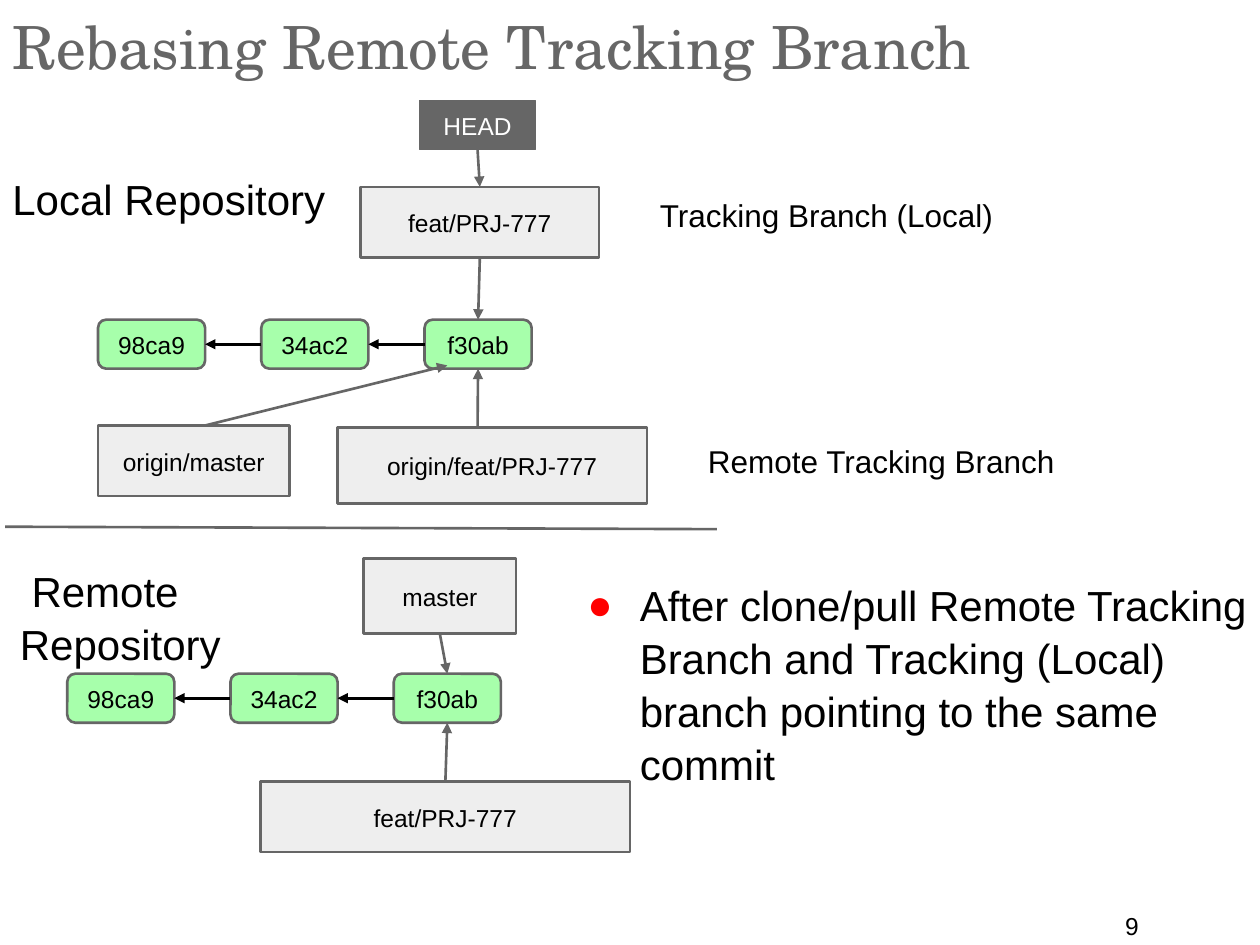
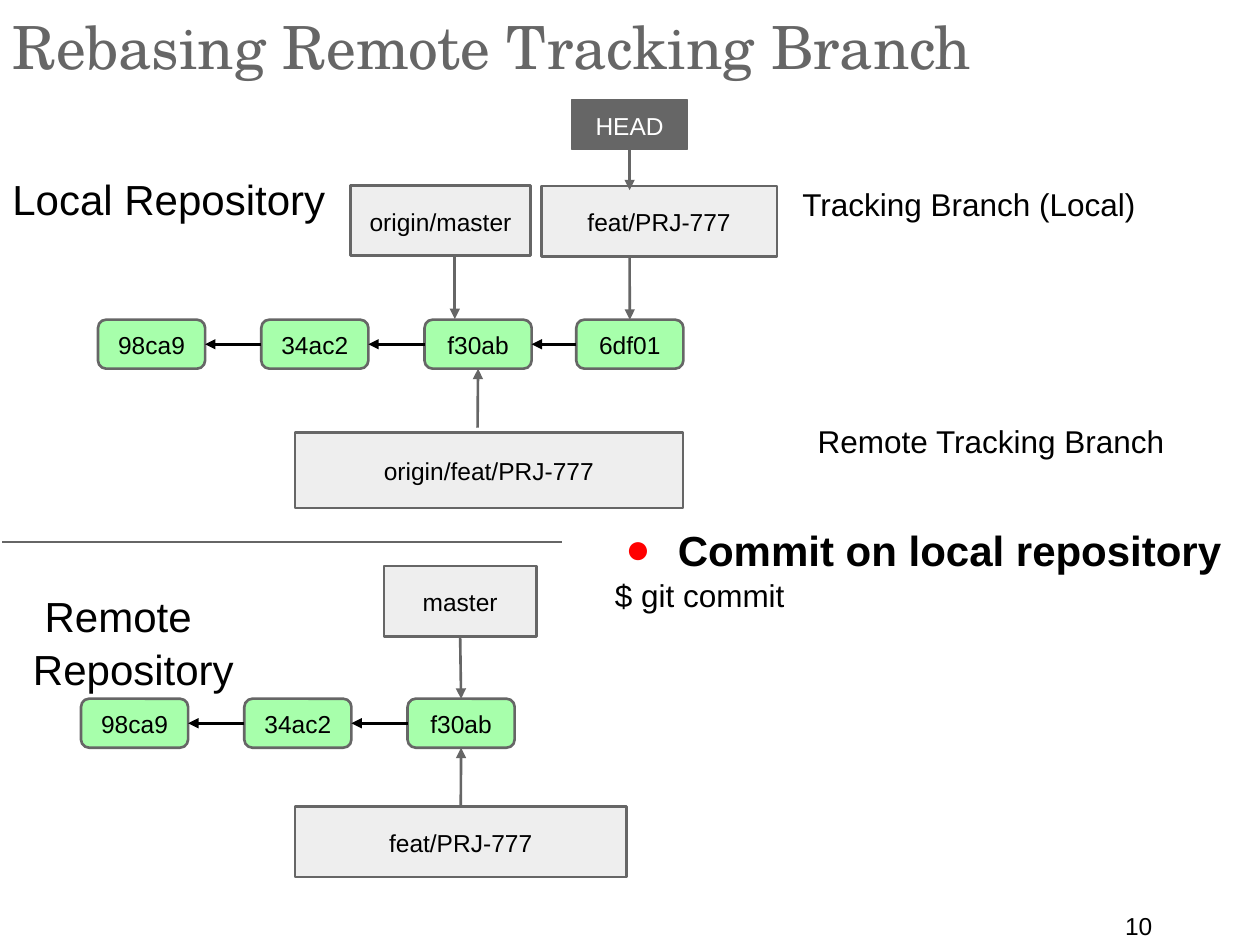
import pptx
import pptx.util
import pptx.dml.color
import pptx.enum.shapes
import pptx.enum.text
import pptx.oxml.ns
from lxml import etree

Pt = pptx.util.Pt
Shapes = pptx.enum.shapes.MSO_SHAPE
RGBColor = pptx.dml.color.RGBColor

BLACK = RGBColor(0x00, 0x00, 0x00)
WHITE = RGBColor(0xFF, 0xFF, 0xFF)
GRAY = RGBColor(0x66, 0x66, 0x66)
PALE_GRAY = RGBColor(0xEE, 0xEE, 0xEE)
GREEN = RGBColor(0xA7, 0xFF, 0xAB)
RED = RGBColor(0xFF, 0x00, 0x00)

BODY_FONT = "Arial"
TITLE_FONT = "TeX Gyre Schola"
TITLE = "Rebasing Remote Tracking Branch"

COMMIT_WIDTH, COMMIT_HEIGHT, COMMIT_STEP = 61.2, 28, 93.3
LOCAL_LEFT, LOCAL_TOP = 56, 182.7
HISTORY = ["98ca9", "34ac2", "f30ab"]
TOP, LEFT, BOTTOM, RIGHT = range(4)


def add_element(parent, tag, **attributes):
    return etree.SubElement(parent, pptx.oxml.ns.qn(tag), attributes)


def format_paragraph(para, size, color=BLACK, font=BODY_FONT, bold=False):
    para.line_spacing = 1.05
    for span in para.runs:
        span.font.name = font
        span.font.size = Pt(size)
        span.font.bold = bold
        span.font.color.rgb = color


def set_insets(frame, vertical):
    frame.word_wrap = True
    frame.margin_left = frame.margin_right = Pt(7.2)
    frame.margin_top = frame.margin_bottom = Pt(vertical)


def add_text(page, text, place, size, color=BLACK, font=BODY_FONT, inset=7.2):
    box = page.shapes.add_textbox(*map(Pt, place))
    frame = box.text_frame
    set_insets(frame, inset)
    frame.text = text
    for para in frame.paragraphs:
        format_paragraph(para, size, color, font)
    return frame


def add_box(page, text, place, kind=Shapes.RECTANGLE, fill=PALE_GRAY,
            color=BLACK, line_width=1.5):
    box = page.shapes.add_shape(kind, *map(Pt, place))
    box.shadow.inherit = False
    box.fill.solid()
    box.fill.fore_color.rgb = fill
    box.line.color.rgb = GRAY
    box.line.width = Pt(line_width)
    frame = box.text_frame
    set_insets(frame, 7.2)
    frame.vertical_anchor = pptx.enum.text.MSO_ANCHOR.MIDDLE
    frame.text = text
    para = frame.paragraphs[0]
    para.alignment = pptx.enum.text.PP_ALIGN.CENTER
    format_paragraph(para, 14, color)
    return box


def add_head(page, left, top):
    return add_box(page, "HEAD", (left, top, 66.2, 28), fill=GRAY,
                   color=WHITE, line_width=0.75)


def add_line(page, start, end, color=GRAY, arrow=True):
    """Draw a line; each end is an (x, y) point or a (shape, side) pair."""
    def is_point(place):
        return isinstance(place[0], (int, float))

    points = [place if is_point(place) else (0, 0) for place in (start, end)]
    line = page.shapes.add_connector(
        pptx.enum.shapes.MSO_CONNECTOR.STRAIGHT,
        *(Pt(value) for point in points for value in point))
    if not is_point(start):
        line.begin_connect(*start)
    if not is_point(end):
        line.end_connect(*end)
    line.line.color.rgb = color
    line.line.width = Pt(1.5)
    if arrow:
        add_element(line.line._get_or_add_ln(), "a:tailEnd", type="triangle")
    add_element(line._element.spPr, "a:effectLst")


def add_commits(page, left, top, names):
    """Draw a row of commits, each pointing to its parent on the left."""
    commits = []
    for index, name in enumerate(names):
        place = (left + index * COMMIT_STEP, top, COMMIT_WIDTH, COMMIT_HEIGHT)
        commits.append(add_box(page, name, place,
                               Shapes.ROUNDED_RECTANGLE, GREEN))
    for parent, child in zip(commits, commits[1:]):
        add_line(page, (child, LEFT), (parent, RIGHT), BLACK)
    return commits


def add_bullet(para):
    properties = para._p.get_or_add_pPr()
    properties.set("marL", str(Pt(36)))
    properties.set("indent", str(Pt(-30)))
    color = add_element(properties, "a:buClr")
    add_element(color, "a:srgbClr", val=str(RED))
    add_element(properties, "a:buFont", typeface=BODY_FONT)
    add_element(properties, "a:buChar", char="●")


def add_remote(page, label, commits_at, master, feature):
    """Draw the remote repository with its two branches."""
    frame = add_text(page, "Remote Repository", label, 24)
    frame.paragraphs[0]._p.get_or_add_pPr().set("indent", str(Pt(6.67)))
    last = add_commits(page, *commits_at, HISTORY)[-1]
    master_box = add_box(page, "master", master)
    feature_box = add_box(page, "feat/PRJ-777", feature)
    add_line(page, (master_box, BOTTOM), (last, TOP))
    add_line(page, (feature_box, TOP), (last, BOTTOM))


def add_page(deck, number):
    page = deck.slides.add_slide(deck.slide_layouts[6])
    add_text(page, str(number), (635.8, 516.2, 66.2, 18), 14, inset=3.6)
    add_text(page, TITLE, (0, 0, 720, 43.2), 34, GRAY, TITLE_FONT, 3.6)
    add_text(page, "Local Repository", (0, 90.7, 210.2, 43.2), 24)
    return page


def add_branch_labels(page, tracking, remote_tracking):
    for text, (left, top) in (("Tracking Branch (Local)", tracking),
                              ("Remote Tracking Branch", remote_tracking)):
        add_text(page, text, (left, top, 239, 55.4), 18)


def build_after_clone(deck):
    page = add_page(deck, 9)
    last = add_commits(page, LOCAL_LEFT, LOCAL_TOP, HISTORY)[-1]
    head = add_head(page, 239.8, 57.6)
    feature = add_box(page, "feat/PRJ-777", (206, 106.8, 136.4, 40.3))
    add_box(page, "origin/feat/PRJ-777", (192.8, 244.4, 177, 43.2))
    add_box(page, "origin/master", (56, 243.2, 109.6, 40.3))
    add_line(page, (head, BOTTOM), (feature, TOP))
    add_line(page, (feature, BOTTOM), (last, TOP))
    add_line(page, (272.9, 244.4), (last, BOTTOM))
    add_line(page, (117, 243.2), (255.6, 208.8))
    add_branch_labels(page, (370, 103.7), (397.4, 244.1))

    add_line(page, (2.9, 301), (409.7, 302.4), arrow=False)
    add_remote(page, (4.3, 314.6, 199.4, 43.2), (38.4, 385),
               (207.8, 319, 87.1, 43.2), (149, 446.6, 211, 40.3))
    notes = add_text(page, "After clone/pull Remote Tracking Branch and "
                     "Tracking (Local) branch pointing to the same commit",
                     (322.5, 322.5, 397.5, 132.5), 24)
    add_bullet(notes.paragraphs[0])


def build_local_commit(deck):
    page = add_page(deck, 10)
    commits = add_commits(page, LOCAL_LEFT, LOCAL_TOP, HISTORY)
    newest = add_box(page, "6df01",
                     (329.3, LOCAL_TOP, COMMIT_WIDTH, COMMIT_HEIGHT),
                     Shapes.ROUNDED_RECTANGLE, GREEN)
    add_line(page, (newest, LEFT), (commits[-1], RIGHT), BLACK)
    head = add_head(page, 326.7, 57.2)
    add_box(page, "feat/PRJ-777", (309.4, 106.4, 134.6, 40.3))
    add_box(page, "origin/master", (200.3, 105.9, 103, 40.3))
    add_box(page, "origin/feat/PRJ-777", (168.5, 247.1, 221.8, 43.2))
    add_line(page, (head, BOTTOM), (359.8, 108.7))
    add_line(page, (359.8, 146.7), (newest, TOP))
    add_line(page, (259.9, 146.5), (259.9, 182.3))
    add_line(page, (272.9, 244.4), (commits[-1], BOTTOM))
    add_branch_labels(page, (451.4, 97.2), (460.1, 232.6))

    add_line(page, (1.4, 309.8), (321.1, 309.8), arrow=False)
    add_remote(page, (11.8, 329, 204.5, 43.2), (46.3, 399.3),
               (219.4, 323.5, 87.1, 40.3), (168.5, 460.8, 189.6, 40.3))
    notes = add_text(page, "Commit on local repository\n$ git commit",
                     (344.2, 290.9, 375.8, 76.3), 18)
    heading = notes.paragraphs[0]
    add_bullet(heading)
    format_paragraph(heading, 24, bold=True)


def main():
    deck = pptx.Presentation()
    deck.slide_width, deck.slide_height = Pt(720), Pt(540)
    build_after_clone(deck)
    build_local_commit(deck)
    deck.save("out.pptx")


if __name__ == "__main__":
    main()
